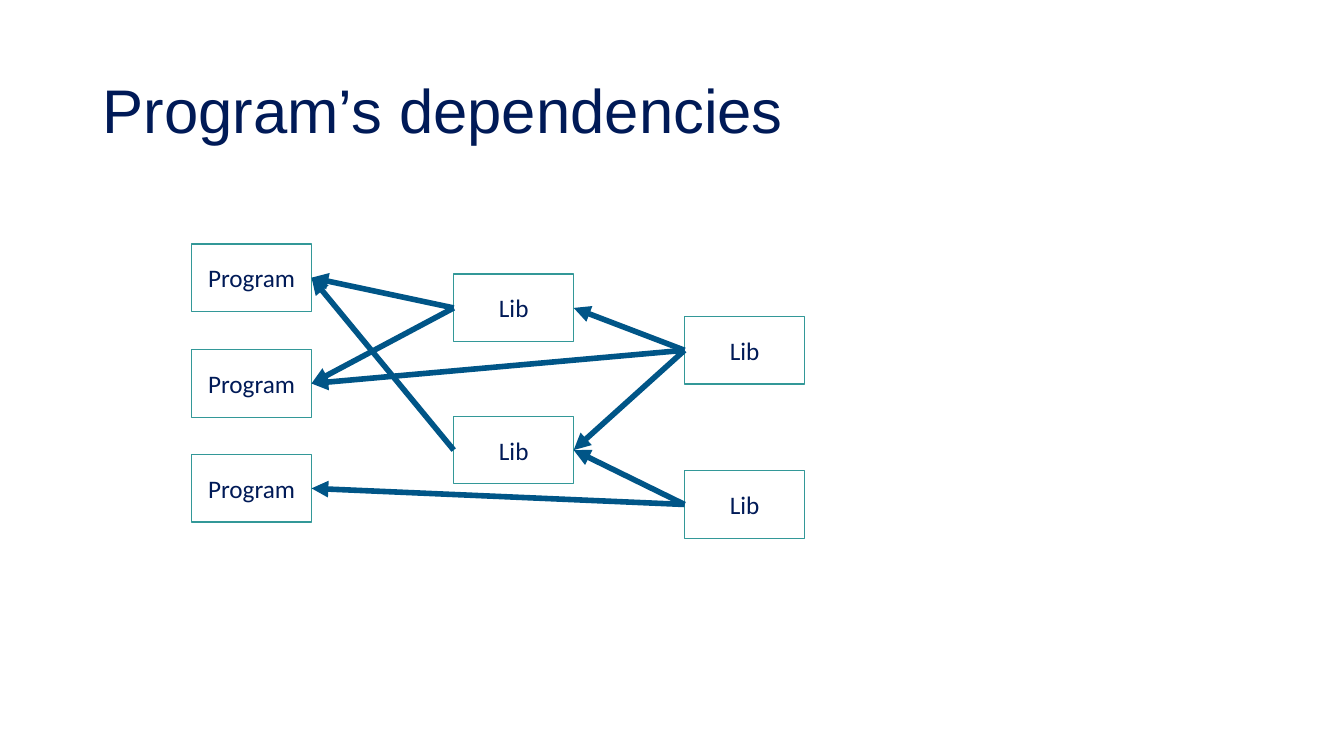
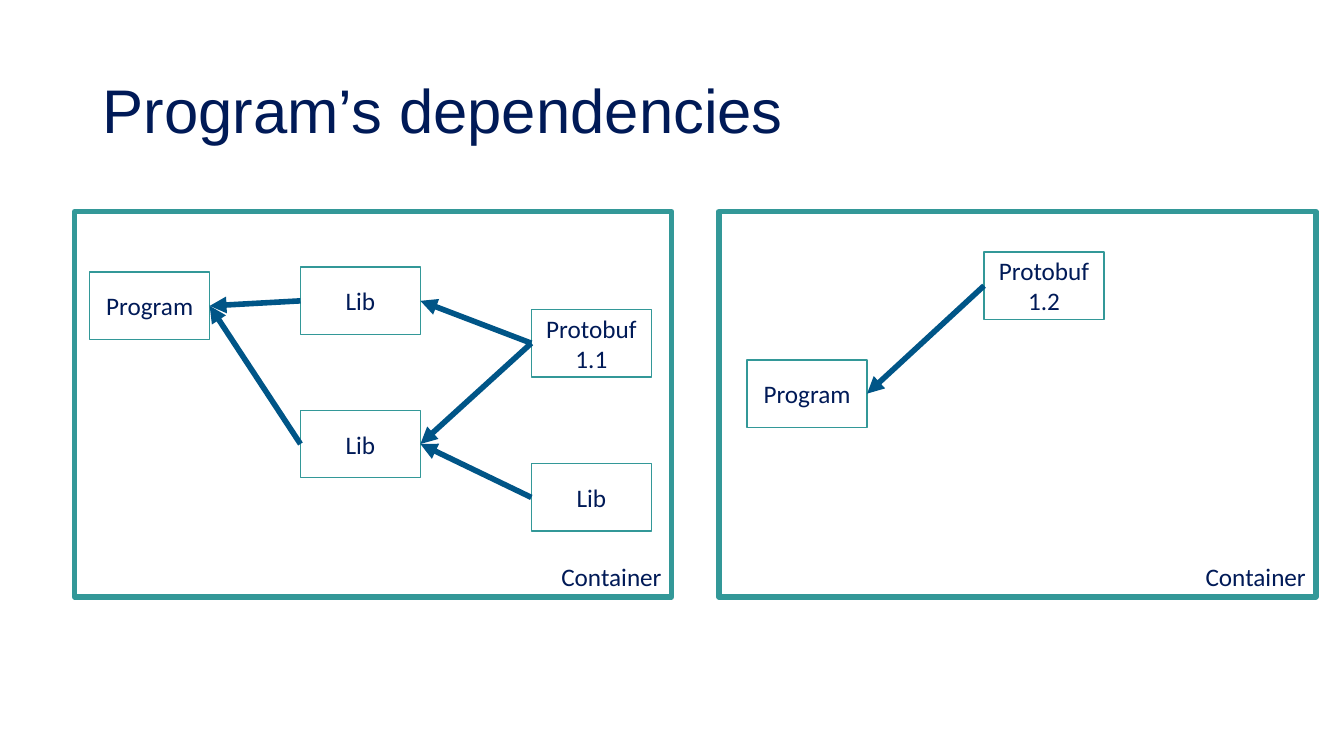
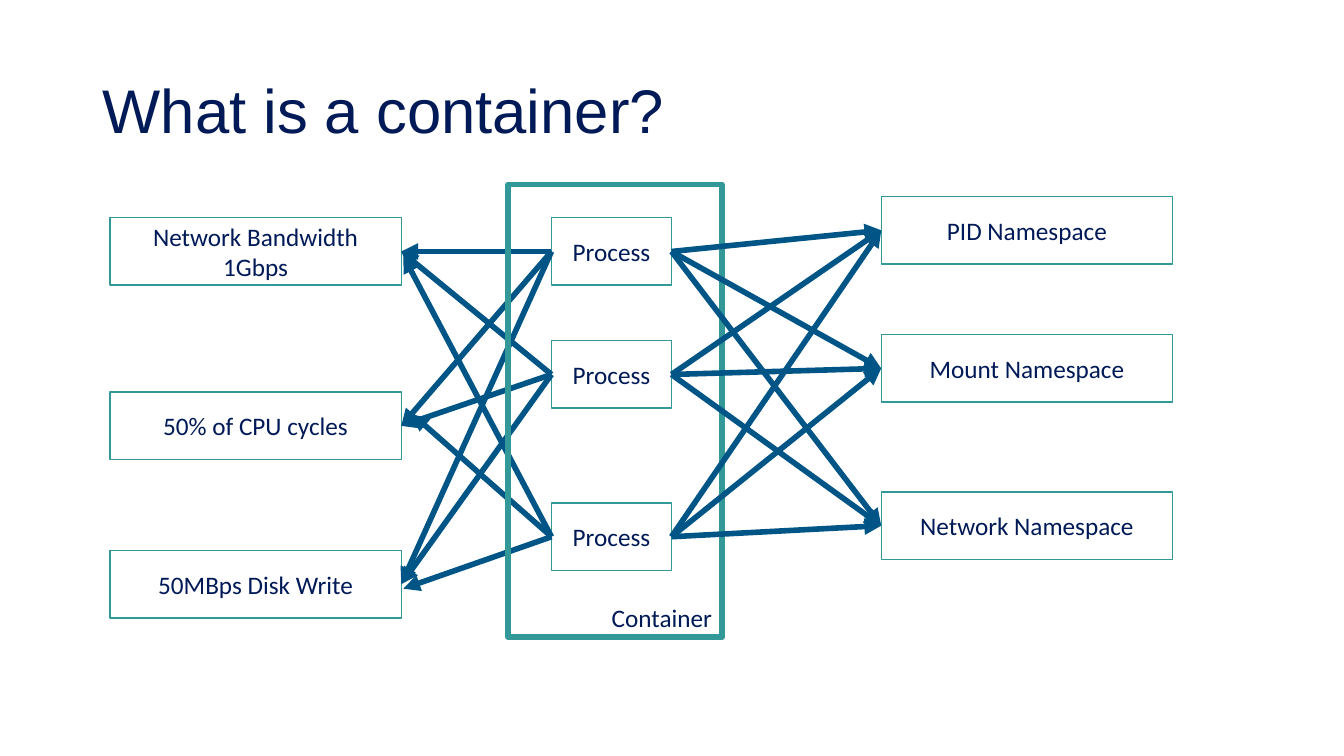
from lxml.etree import SubElement
from pptx import Presentation
from pptx.dml.color import RGBColor
from pptx.enum.shapes import MSO_CONNECTOR, MSO_SHAPE
from pptx.enum.text import MSO_ANCHOR, PP_ALIGN
from pptx.oxml.ns import qn
from pptx.util import Pt

PX = 9144  # 100 px to the inch
NAVY = RGBColor(0x00, 0x1A, 0x57)
TEAL = RGBColor(0x33, 0x98, 0x98)
BLUE = RGBColor(0x00, 0x55, 0x87)
WHITE = RGBColor(0xFF, 0xFF, 0xFF)
BOX_W, WIDE_W, BOX_H = 119, 289, 67
LEFT, RIGHT = 1, 3


def add_box(s, text, x, y, w=BOX_W, h=BOX_H, frame=False):
    """Add a labelled box, or with frame=True a hollow container around others."""
    sp = s.shapes.add_shape(MSO_SHAPE.RECTANGLE, x * PX, y * PX, w * PX, h * PX)
    sp.shadow.inherit = False
    if frame:
        sp.fill.background()
    else:
        sp.fill.solid()
        sp.fill.fore_color.rgb = WHITE
    sp.line.color.rgb = TEAL
    sp.line.width = Pt(4 if frame else 1)
    tf = sp.text_frame
    tf.word_wrap = True
    tf.vertical_anchor = MSO_ANCHOR.BOTTOM if frame else MSO_ANCHOR.MIDDLE
    for i, line in enumerate(text.split("\n")):
        p = tf.add_paragraph() if i else tf.paragraphs[0]
        p.alignment = PP_ALIGN.RIGHT if frame else PP_ALIGN.CENTER
        r = p.add_run()
        r.text = line
        r.font.name, r.font.size = "Calibri", Pt(18)
        r.font.color.rgb = NAVY
    return sp


def add_arrow(s, src, dst, end=None):
    """Draw an arrow between facing sides; end is a loose tip in px near dst."""
    x, y = end or (0, 0)
    c = s.shapes.add_connector(MSO_CONNECTOR.STRAIGHT, 0, 0, x * PX, y * PX)
    out, into = (LEFT, RIGHT) if dst.left < src.left else (RIGHT, LEFT)
    c.begin_connect(src, out)
    if end is None:
        c.end_connect(dst, into)
    c.line.color.rgb = BLUE
    c.line.width = Pt(4)
    SubElement(c.line._get_or_add_ln(), qn("a:tailEnd"), type="triangle")
    SubElement(c._element.spPr, qn("a:effectLst"))


prs = Presentation()
prs.slide_width, prs.slide_height = 1333 * PX, 750 * PX

slides = []
for title in ("Program’s dependencies", "Program’s dependencies", "What is a container?"):
    s = prs.slides.add_slide(prs.slide_layouts[6])
    tf = s.shapes.add_textbox(92 * PX, 40 * PX, 1150 * PX, 145 * PX).text_frame
    tf.word_wrap = True
    tf.vertical_anchor = MSO_ANCHOR.MIDDLE
    p = tf.paragraphs[0]
    p.line_spacing = 0.9
    r = p.add_run()
    r.text = title
    r.font.name, r.font.size = "Arial", Pt(44)
    r.font.color.rgb = NAVY
    slides.append(s)
shared, isolated, container = slides

# Programs sharing libraries
programs = [add_box(shared, "Program", 190, y) for y in (242, 347, 451)]
libs = [add_box(shared, "Lib", 450, y) for y in (272, 413)]
base_libs = [add_box(shared, "Lib", 679, y) for y in (314, 467)]
for src, dst in (
    (libs[0], programs[0]), (libs[1], programs[0]),
    (base_libs[0], libs[0]), (base_libs[0], libs[1]), (base_libs[1], libs[1]),
    (libs[0], programs[1]), (base_libs[1], programs[2]), (base_libs[0], programs[1]),
):
    add_arrow(shared, src, dst)

# Programs isolated in containers
program = add_box(isolated, "Program", 89, 270)
libs = [add_box(isolated, "Lib", 298, y) for y in (265, 407)]
protobuf = add_box(isolated, "Protobuf\n1.1", 527, 307)
base_lib = add_box(isolated, "Lib", 527, 460)
for lib in libs:
    add_arrow(isolated, lib, program)
    add_arrow(isolated, protobuf, lib)
add_arrow(isolated, base_lib, libs[1])
for x in (74, 713):
    add_box(isolated, "Container", x, 210, 592, 382, frame=True)
program = add_box(isolated, "Program", 741, 357)
protobuf = add_box(isolated, "Protobuf\n1.2", 976, 250)
add_arrow(isolated, protobuf, program)

# Resource limits and namespaces of a container
limits = [
    add_box(container, text, 109, y, WIDE_W)
    for text, y in (("Network Bandwidth\n1Gbps", 216), ("50% of CPU cycles", 389),
                    ("50MBps Disk Write", 546))
]
processes = [add_box(container, "Process", 547, y) for y in (216, 338, 499)]
loose_tips = ((400, 254), (409, 411), (400, 584))
for process in processes:
    tips = loose_tips if process is processes[-1] else (None,) * 3
    for limit, tip in zip(limits, tips):
        add_arrow(container, process, limit, tip)
add_box(container, "Container", 504, 183, 212, 449, frame=True)
namespaces = [
    add_box(container, f"{kind} Namespace", 874, y, WIDE_W)
    for kind, y in (("PID", 195), ("Mount", 332), ("Network", 488))
]
for process in processes:
    for namespace in namespaces:
        add_arrow(container, process, namespace)

prs.save("out.pptx")
